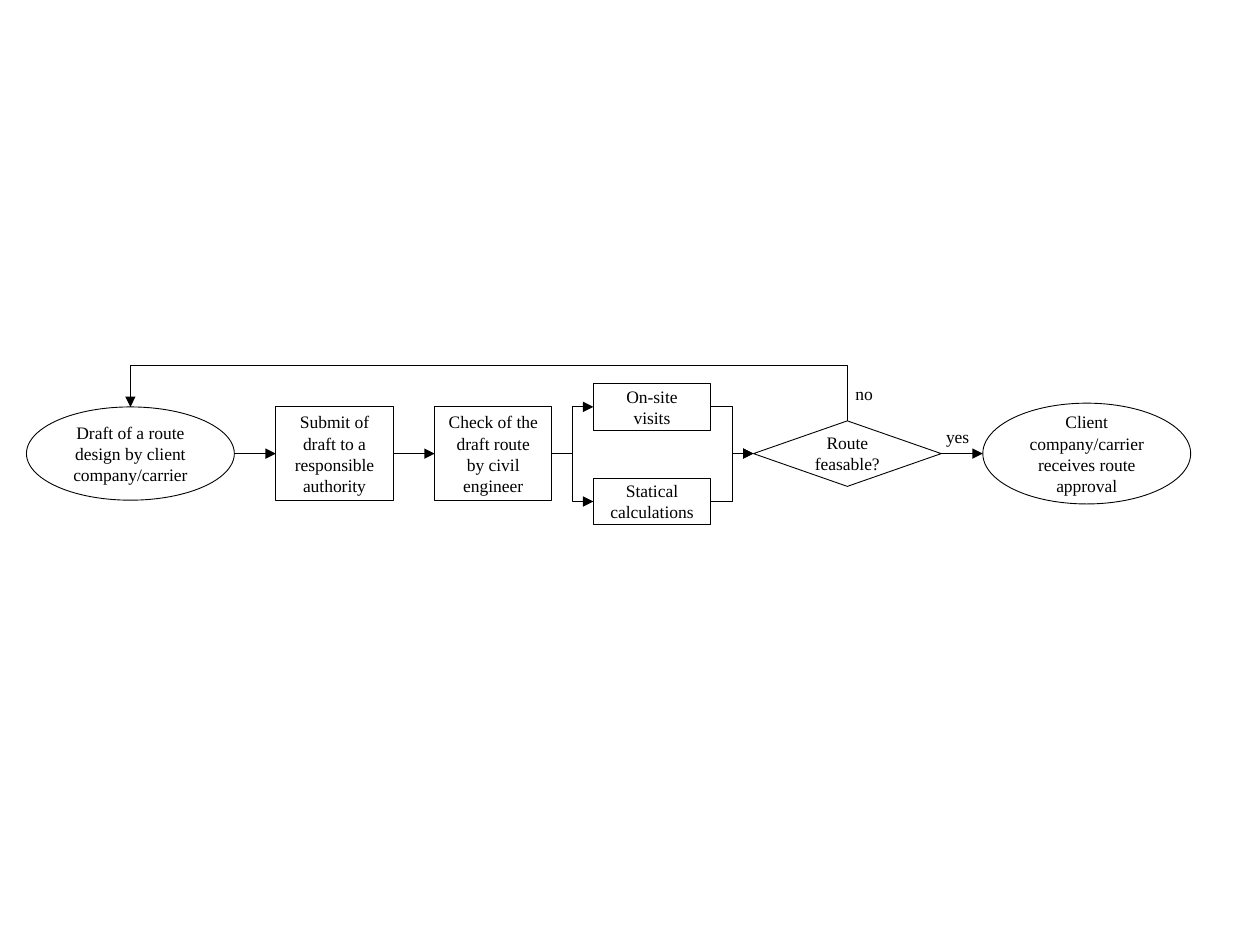
import pptx
import pptx.util
import pptx.dml.color
import pptx.enum.shapes
import pptx.enum.text
import pptx.oxml.ns
import lxml.etree

Inches = pptx.util.Inches
Shape = pptx.enum.shapes.MSO_SHAPE
Route = pptx.enum.shapes.MSO_CONNECTOR
qn = pptx.oxml.ns.qn

theme = {
    "ink": pptx.dml.color.RGBColor(0, 0, 0),
    "font": "Times New Roman",
    "size": pptx.util.Pt(10),
    "line": pptx.util.Pt(0.5),
}
TOP, LEFT, RIGHT = 0, 1, 3
AXIS = 3.6  # height of the main flow

deck = pptx.Presentation()
deck.slide_width, deck.slide_height = Inches(10), Inches(7.5)
slide = deck.slides.add_slide(deck.slide_layouts[6])


def write(holder, words, align):
    holder.text_frame.text = words
    for paragraph in holder.text_frame.paragraphs:
        paragraph.alignment = align
        for run in paragraph.runs:
            run.font.name = theme["font"]
            run.font.size = theme["size"]
            run.font.color.rgb = theme["ink"]


def connect(source, source_side, target, target_side, route):
    arrow = slide.shapes.add_connector(route, 0, 0, 0, 0)
    arrow.begin_connect(source, source_side)
    arrow.end_connect(target, target_side)
    # An ellipse has eight connection sites, every second one on a side
    for tag, step in (("a:stCxn", source), ("a:endCxn", target)):
        if step.auto_shape_type == Shape.OVAL:
            site = next(arrow._element.iter(qn(tag)))
            site.set("idx", str(int(site.get("idx")) * 2))
    arrow.line.color.rgb = theme["ink"]
    arrow.line.width = theme["line"]
    lxml.etree.SubElement(arrow.line._get_or_add_ln(), qn("a:tailEnd"), type="triangle")
    lxml.etree.SubElement(arrow._element.spPr, qn("a:effectLst"))
    return arrow


# Steps: outline, left, vertical centre, width, height, wording
steps = {
    "draft": (Shape.OVAL, 0.21, AXIS, 1.65, 0.74,
              "Draft of a route design by client company/carrier"),
    "submit": (Shape.RECTANGLE, 2.19, AXIS, 0.93, 0.74,
               "Submit of draft to a responsible authority"),
    "check": (Shape.RECTANGLE, 3.45, AXIS, 0.93, 0.74,
              "Check of the draft route by civil engineer"),
    "statics": (Shape.RECTANGLE, 4.71, AXIS + 0.38, 0.93, 0.37, "Statical calculations"),
    "visits": (Shape.RECTANGLE, 4.71, AXIS - 0.37, 0.93, 0.37, "On-site visits"),
    "decision": (Shape.DIAMOND, 5.98, AXIS, 1.49, 0.52, "Route\nfeasable?"),
    "approval": (Shape.OVAL, 7.8, AXIS, 1.65, 0.8,
                 "Client company/carrier receives route approval"),
}
flow = {}
for name, (outline, left, middle, width, height, words) in steps.items():
    step = slide.shapes.add_shape(outline, Inches(left), Inches(middle - height / 2),
                                  Inches(width), Inches(height))
    step.shadow.inherit = False
    step.fill.background()
    step.line.color.rgb = theme["ink"]
    step.line.width = theme["line"]
    step.text_frame.vertical_anchor = pptx.enum.text.MSO_ANCHOR.MIDDLE
    write(step, words, pptx.enum.text.PP_ALIGN.CENTER)
    flow[name] = step
flow["decision"].text_frame.margin_top = Inches(0.04)

# Forward arrows
for source, target, route in (
    ("draft", "submit", Route.STRAIGHT),
    ("submit", "check", Route.STRAIGHT),
    ("check", "visits", Route.ELBOW),
    ("check", "statics", Route.ELBOW),
    ("visits", "decision", Route.ELBOW),
    ("statics", "decision", Route.ELBOW),
    ("decision", "approval", Route.STRAIGHT),
):
    connect(flow[source], RIGHT, flow[target], LEFT, route)

# Feedback arrow: a quarter turn lets it leave and arrive from above
feedback = connect(flow["decision"], TOP, flow["draft"], TOP, Route.ELBOW)
span, rise = feedback.width, feedback.height
centre_x, centre_y = feedback.left + span // 2, feedback.top + rise // 2
feedback.left, feedback.top = centre_x - rise // 2, centre_y - span // 2
feedback.width, feedback.height = rise, span
frame = feedback._element.spPr.find(qn("a:xfrm"))
frame.attrib.pop("flipH", None)
frame.set("rot", "16200000")
frame.set("flipV", "1")
bend = round(Inches(0.44) / rise * 100000)
guides = feedback._element.spPr.find(qn("a:prstGeom")).get_or_add_avLst()
lxml.etree.SubElement(guides, qn("a:gd"), name="adj1", fmla=f"val {bend}")

# Answers at the decision
for words, left, top, width in (("yes", 7.41, 3.33, 0.39), ("no", 6.69, 2.99, 0.35)):
    answer = slide.shapes.add_textbox(Inches(left), Inches(top), Inches(width), Inches(0.27))
    answer.text_frame.word_wrap = False
    write(answer, words, pptx.enum.text.PP_ALIGN.LEFT)

deck.save("out.pptx")
